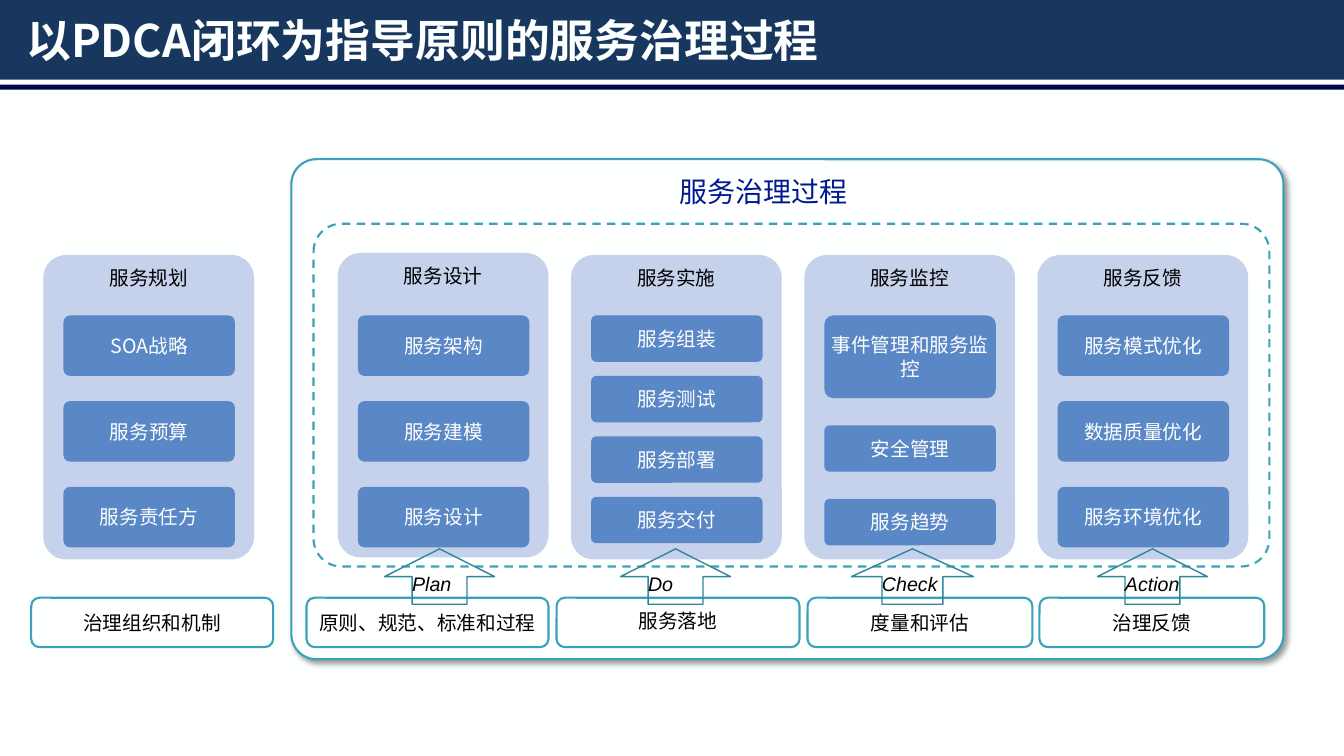
import dataclasses

import lxml.etree
import pptx
import pptx.dml.color
import pptx.enum.dml
import pptx.enum.shapes
import pptx.enum.text
import pptx.oxml.ns
import pptx.util

Inches = pptx.util.Inches
Pt = pptx.util.Pt
qn = pptx.oxml.ns.qn
KINDS = pptx.enum.shapes.MSO_SHAPE
ANCHOR = pptx.enum.text.MSO_ANCHOR
ALIGN = pptx.enum.text.PP_ALIGN


@dataclasses.dataclass(frozen=True)
class Theme:
    white: str = "FEFFFF"
    black: str = "000000"
    banner: str = "17375E"
    rule: str = "000C49"
    frame: str = "3BA0BB"
    arrow: str = "31859C"
    column: str = "C6D1EB"
    tile: str = "5A87C5"
    heading: str = "011892"
    title_size: int = 32
    heading_size: int = 20
    body_size: int = 14
    font: str = "Noto Sans CJK SC"
    arrow_font: str = "Arial"
    corner: float = 0.108


@dataclasses.dataclass(frozen=True)
class Stage:
    name: str
    top: float
    tiles: tuple
    gap: float
    label: str
    label_left: float
    label_width: float
    step: str = ""
    arrow_center: float = 0
    arrow_width: float = 1.09
    label_spacing: float = 1.0


THEME = Theme()
COLUMN_WIDTH, COLUMN_HEIGHT = 2.09, 3.02
PLANNING = Stage("服务规划", 2.53, (("SOA战略", 0.6), ("服务预算", 0.6), ("服务责任方", 0.6)),
                 0.25, "治理组织和机制", 0.31, 2.4)
CYCLE = (
    Stage("服务设计", 2.51, (("服务架构", 0.6), ("服务建模", 0.6), ("服务设计", 0.6)),
          0.25, "原则、规范、标准和过程", 3.04, 2.4, "Plan", 4.36),
    Stage("服务实施", 2.53, (("服务组装", 0.46), ("服务测试", 0.46), ("服务部署", 0.46), ("服务交付", 0.46)),
          0.14, "服务落地", 5.52, 2.41, "Do", 6.7, label_spacing=0.85),
    Stage("服务监控", 2.53, (("事件管理和服务监控", 0.82), ("安全管理", 0.46), ("服务趋势", 0.46)),
          0.27, "度量和评估", 8.01, 2.23, "Check", 9.05, 1.21),
    Stage("服务反馈", 2.53, (("服务模式优化", 0.6), ("数据质量优化", 0.6), ("服务环境优化", 0.6)),
          0.25, "治理反馈", 10.31, 2.23, "Action", 11.43),
)


def rgb(value):
    return pptx.dml.color.RGBColor.from_string(value)


def add_block(slide, kind, left, top, width, height, fill=None, line=None, weight=1.5, corner=None):
    block = slide.shapes.add_shape(kind, Inches(left), Inches(top), Inches(width), Inches(height))
    block.shadow.inherit = False
    if fill:
        block.fill.solid()
        block.fill.fore_color.rgb = rgb(fill)
    else:
        block.fill.background()
    if line:
        block.line.color.rgb = rgb(line)
        block.line.width = Pt(weight)
    else:
        block.line.fill.background()
    if corner:
        block.adjustments[0] = corner
    return block


def write(block, words, color, size=THEME.body_size, font=THEME.font, inset=0.04,
          anchor=ANCHOR.MIDDLE, align=ALIGN.CENTER, bold=False, italic=False):
    frame = block.text_frame
    frame.text = words
    frame.word_wrap = True
    frame.vertical_anchor = anchor
    frame.margin_left = frame.margin_right = Inches(inset)
    frame.margin_top = frame.margin_bottom = Inches(min(inset, 0.04))
    paragraph = frame.paragraphs[0]
    paragraph.alignment = align
    run = paragraph.runs[0]
    run.font.size = Pt(size)
    run.font.name = font
    run.font.bold = bold
    run.font.italic = italic
    run.font.color.rgb = rgb(color)
    lxml.etree.SubElement(run.font._element, qn("a:ea"), typeface=font)
    return paragraph


def add_panel_shadow(panel):
    effects = panel._element.spPr.find(qn("a:effectLst"))
    shadow = lxml.etree.SubElement(effects, qn("a:outerShdw"), blurRad=str(Pt(4)),
                                   dist=str(Pt(3)), dir=str(45 * 60000), rotWithShape="0")
    color = lxml.etree.SubElement(shadow, qn("a:srgbClr"), val=THEME.black)
    lxml.etree.SubElement(color, qn("a:alpha"), val="40000")


def build_header(slide, width):
    add_block(slide, KINDS.RECTANGLE, 0, 0, width, 0.79, THEME.banner)
    add_block(slide, KINDS.RECTANGLE, 0, 0.84, width, 0.05, THEME.rule)
    title = slide.shapes.title
    title.left, title.top = Inches(0.16), Inches(0.09)
    title.width, title.height = Inches(width - 0.31), Inches(0.6)
    write(title, "以PDCA闭环为指导原则的服务治理过程", THEME.white, THEME.title_size,
          inset=0.1, align=ALIGN.LEFT, bold=True)
    slide.shapes._spTree.append(title._element)


def build_panel(slide, left, top, width, height):
    panel = add_block(slide, KINDS.ROUNDED_RECTANGLE, left, top, width, height,
                      THEME.white, THEME.frame, corner=0.05)
    add_panel_shadow(panel)
    loop = add_block(slide, KINDS.ROUNDED_RECTANGLE, left + 0.22, top + 0.64, width - 0.36, 3.4,
                     THEME.white, THEME.frame, corner=0.081)
    loop.line.dash_style = pptx.enum.dml.MSO_LINE.DASH
    heading = add_block(slide, KINDS.RECTANGLE, left + 3.67, top + 0.11, 2.02, 0.42,
                        THEME.white, THEME.white, 0.75)
    write(heading, "服务治理过程", THEME.heading, THEME.heading_size)


def build_column(slide, stage, left):
    column = add_block(slide, KINDS.ROUNDED_RECTANGLE, left, stage.top, COLUMN_WIDTH, COLUMN_HEIGHT,
                       THEME.column, corner=THEME.corner)
    write(column, stage.name, THEME.black, anchor=ANCHOR.TOP)
    tile_top = 3.13
    for words, height in stage.tiles:
        tile = add_block(slide, KINDS.ROUNDED_RECTANGLE, left + 0.2, tile_top, 1.7, height,
                         THEME.tile, corner=THEME.corner)
        write(tile, words, THEME.white)
        tile_top += height + stage.gap


def build_label(slide, stage, top, height):
    label = add_block(slide, KINDS.ROUNDED_RECTANGLE, stage.label_left, top, stage.label_width, height,
                      THEME.white, THEME.frame)
    write(label, stage.label, THEME.black).line_spacing = stage.label_spacing


def build_arrow(slide, stage, middle, length):
    arrow = add_block(slide, KINDS.RIGHT_ARROW, stage.arrow_center - length / 2,
                      middle - stage.arrow_width / 2, length, stage.arrow_width,
                      line=THEME.arrow, weight=1)
    arrow.rotation = 270
    write(arrow, stage.step, THEME.black, font=THEME.arrow_font, inset=0, italic=True)
    arrow.text_frame._txBody.bodyPr.set("vert", "eaVert")


def build_stage(slide, stage, left):
    build_column(slide, stage, left)
    build_label(slide, stage, 5.93, 0.49)
    if stage.step:
        build_arrow(slide, stage, 5.72, 0.55)


def main():
    deck = pptx.Presentation()
    deck.slide_width, deck.slide_height = Inches(13.33), Inches(7.5)
    slide = deck.slides.add_slide(deck.slide_layouts[5])
    slide.background.fill.solid()
    slide.background.fill.fore_color.rgb = rgb(THEME.white)
    build_header(slide, 13.33)
    build_panel(slide, 2.89, 1.58, 9.84, 4.96)
    build_stage(slide, PLANNING, 0.43)
    for index, stage in enumerate(CYCLE):
        build_stage(slide, stage, 3.35 + index * 6.94 / 3)
    deck.save("out.pptx")


if __name__ == "__main__":
    main()
